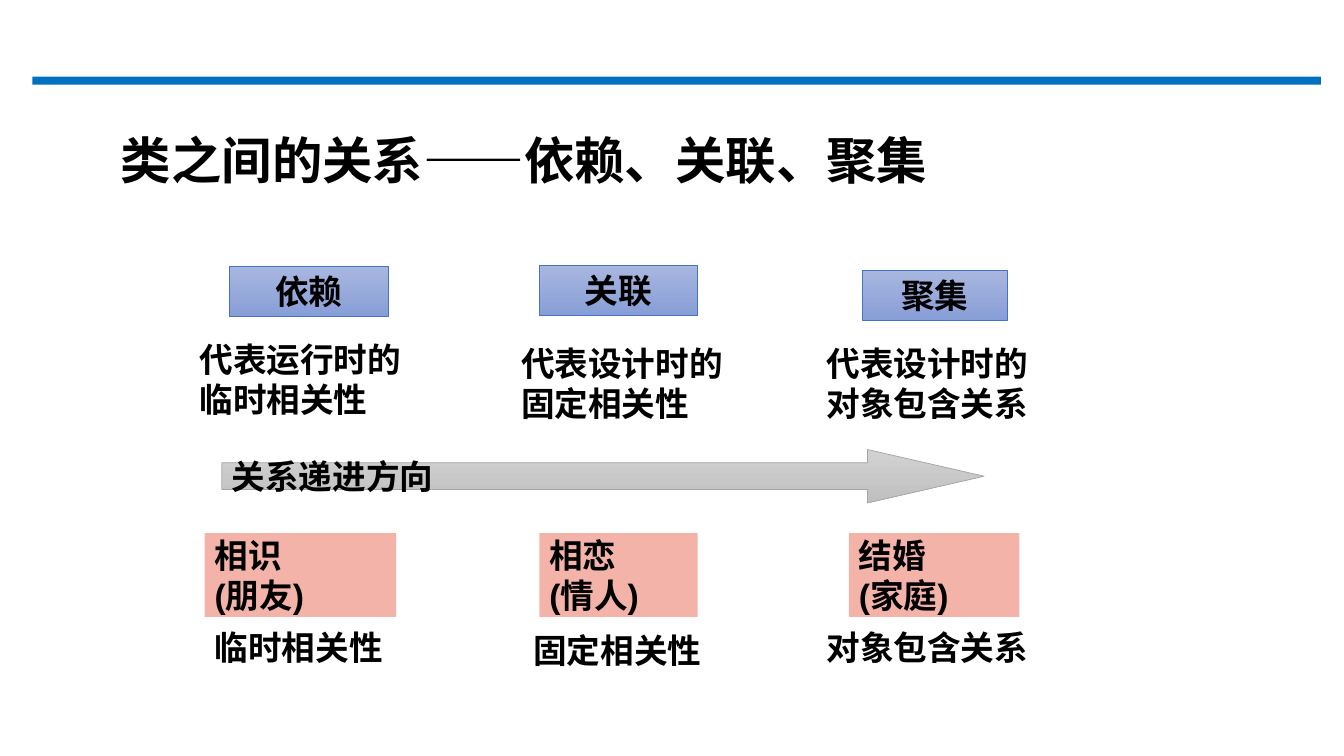
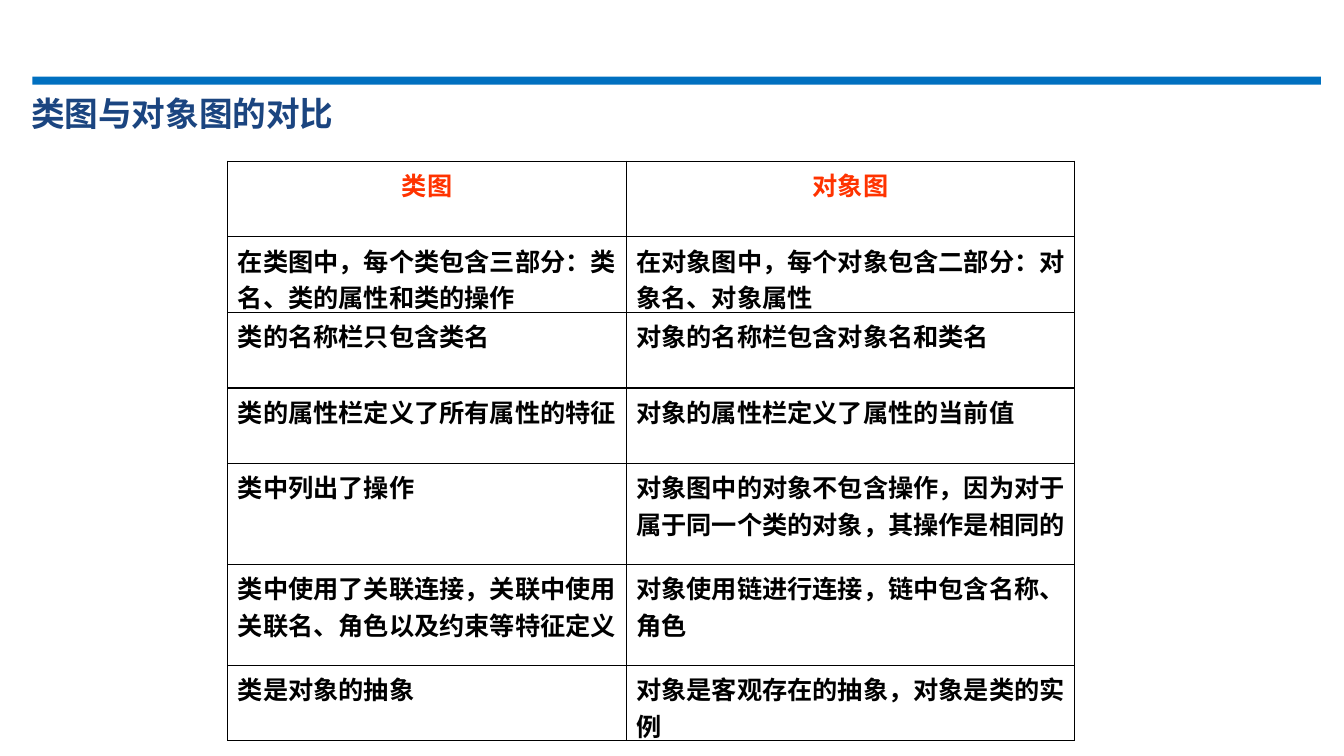
from dataclasses import dataclass

from lxml.etree import SubElement
from pptx import Presentation
from pptx.dml.color import RGBColor
from pptx.enum.shapes import MSO_SHAPE
from pptx.enum.text import MSO_ANCHOR, PP_ALIGN
from pptx.oxml.ns import qn
from pptx.util import Pt

PX = 9144  # 100 px to the inch


@dataclass(frozen=True)
class Theme:
    band: str = "0070C0"
    ink: str = "000000"
    navy: str = "1B4580"
    red: str = "FF3300"
    edge: str = "4472C4"
    blue: tuple = ("A8B7DF", "889ED7")
    grey: tuple = ("D2D2D2", "C0C0C0")
    rim: str = "A5A5A5"
    pink: str = "F3AB9F"
    hans: str = "Noto Sans CJK SC"
    sans: str = "Arial"
    serif: str = "Times New Roman"
    large: int = 36
    body: int = 24
    small: int = 18


T = Theme()

# Each column: left edge, then text with its (x, y, width) inside the column
COLUMNS = [
    (188, ("依赖", 40, 4, 157), ("代表运行时的\n临时相关性", 0, 71, 223),
     ("相识\n(朋友)", 15, 269, 190), ("临时相关性", 15, 357, 189)),
    (507, ("关联", 28, 3, 157), ("代表设计时的\n固定相关性", 0, 75, 223),
     ("相恋\n(情人)", 28, 269, 157), ("固定相关性", 12, 360, 189)),
    (810, ("聚集", 45, 8, 144), ("代表设计时的\n对象包含关系", 0, 75, 223),
     ("结婚\n(家庭)", 32, 269, 169), ("对象包含关系", 0, 357, 223)),
]

ROWS = [
    ("类图", "对象图"),
    ("在类图中，每个类包含三部分：类名、类的属性和类的操作",
     "在对象图中，每个对象包含二部分：对象名、对象属性"),
    ("类的名称栏只包含类名", "对象的名称栏包含对象名和类名"),
    ("类的属性栏定义了所有属性的特征", "对象的属性栏定义了属性的当前值"),
    ("类中列出了操作",
     "对象图中的对象不包含操作，因为对于属于同一个类的对象，其操作是相同的"),
    ("类中使用了关联连接，关联中使用关联名、角色以及约束等特征定义",
     "对象使用链进行连接，链中包含名称、角色"),
    ("类是对象的抽象", "对象是客观存在的抽象，对象是类的实例"),
]


def emu(*sizes):
    return [size * PX for size in sizes]


def tint(value):
    return RGBColor.from_string(value)


def write(frame, text, font=T.sans, size=T.body, color=T.ink,
          align=PP_ALIGN.LEFT, space=None):
    frame.text = text
    for para in frame.paragraphs:
        para.alignment = align
        if space:
            para.line_spacing = space
        for run in para.runs:
            run.font.name = font
            run.font.size = Pt(size)
            run.font.bold = True
            run.font.color.rgb = tint(color)
            SubElement(run.font._element, qn("a:ea"), typeface=T.hans)


def label(slide, box, text, wrap=False, **style):
    frame = slide.shapes.add_textbox(*emu(*box)).text_frame
    frame.word_wrap = wrap
    write(frame, text, **style)


def block(slide, box, fill, line=None, kind=MSO_SHAPE.RECTANGLE):
    """Add a shape; a pair of colours makes a downward gradient."""
    shape = slide.shapes.add_shape(kind, *emu(*box))
    shape.shadow.inherit = False
    if isinstance(fill, tuple):
        shape.fill.gradient()
        shape.fill.gradient_angle = 270
        for stop, color in zip(shape.fill.gradient_stops, fill):
            stop.color.rgb = tint(color)
    else:
        shape.fill.solid()
        shape.fill.fore_color.rgb = tint(fill)
    if line:
        shape.line.color.rgb = tint(line)
        shape.line.width = Pt(0.5)
    else:
        shape.line.fill.background()
    shape.text_frame.vertical_anchor = MSO_ANCHOR.MIDDLE
    return shape


def fade(shape, percent):
    color = shape.fill._xPr.find(".//" + qn("a:srgbClr"))
    SubElement(color, qn("a:alpha"), val=str(percent * 1000))


def page(deck, title, box, size, color):
    """Add a slide with the shared band and title style."""
    slide = deck.slides.add_slide(deck.slide_layouts[6])
    block(slide, (32, 76, 1278, 8), T.band)
    label(slide, box, title, wrap=True, font=T.hans, size=size,
          color=color, space=0.9)
    return slide


def column(slide, left, top, head, role, stage, note):
    def place(part, high):
        text, x, y, wide = part
        return text, (left + x, top + y, wide, high)

    text, box = place(head, 50)
    shape = block(slide, box, T.blue, T.edge)
    write(shape.text_frame, text, align=PP_ALIGN.CENTER)
    text, box = place(stage, 83)
    shape = block(slide, box, T.pink)
    fade(shape, 90)
    write(shape.text_frame, text)
    for part, high in ((role, 91), (note, 50)):
        text, box = place(part, high)
        label(slide, box, text)


def arrow(slide, box, text):
    shape = block(slide, box, T.grey, T.rim, MSO_SHAPE.RIGHT_ARROW)
    shape.adjustments[0] = 0.5
    shape.adjustments[1] = 2.18
    write(shape.text_frame, text)


def border(cell):
    props = cell._tc.get_or_add_tcPr()
    for spot, side in enumerate(("lnL", "lnR", "lnT", "lnB")):
        line = SubElement(props, qn("a:" + side), w=str(Pt(1)))
        fill = SubElement(line, qn("a:solidFill"))
        SubElement(fill, qn("a:srgbClr"), val=T.ink)
        props.insert(spot, line)


def grid(slide, left, top, wides, highs, rows):
    box = left, top, sum(wides), sum(highs)
    table = slide.shapes.add_table(len(rows), len(wides), *emu(*box)).table
    table.first_row = table.horz_banding = False
    for col, wide in zip(table.columns, emu(*wides)):
        col.width = wide
    for row, high in zip(table.rows, emu(*highs)):
        row.height = high
    for r, texts in enumerate(rows):
        look = {} if r else {"color": T.red, "align": PP_ALIGN.CENTER}
        for c, text in enumerate(texts):
            cell = table.cell(r, c)
            cell.fill.background()
            border(cell)
            write(cell.text_frame, text, font=T.serif, size=T.small, **look)


def main():
    deck = Presentation()
    deck.slide_width, deck.slide_height = emu(1333, 750)

    slide = page(deck, "类之间的关系——依赖、关联、聚集",
                 (110, 130, 1000, 94), T.large, T.ink)
    for left, *parts in COLUMNS:
        column(slide, left, 260, *parts)
    arrow(slide, (220, 446, 756, 53), "关系递进方向")

    slide = page(deck, "类图与对象图的对比",
                 (21, 92, 850, 108), T.body, T.navy)
    grid(slide, 226, 160, (395, 445), (75, 75, 75, 75, 100, 100, 75), ROWS)

    deck.save("out.pptx")


if __name__ == "__main__":
    main()
